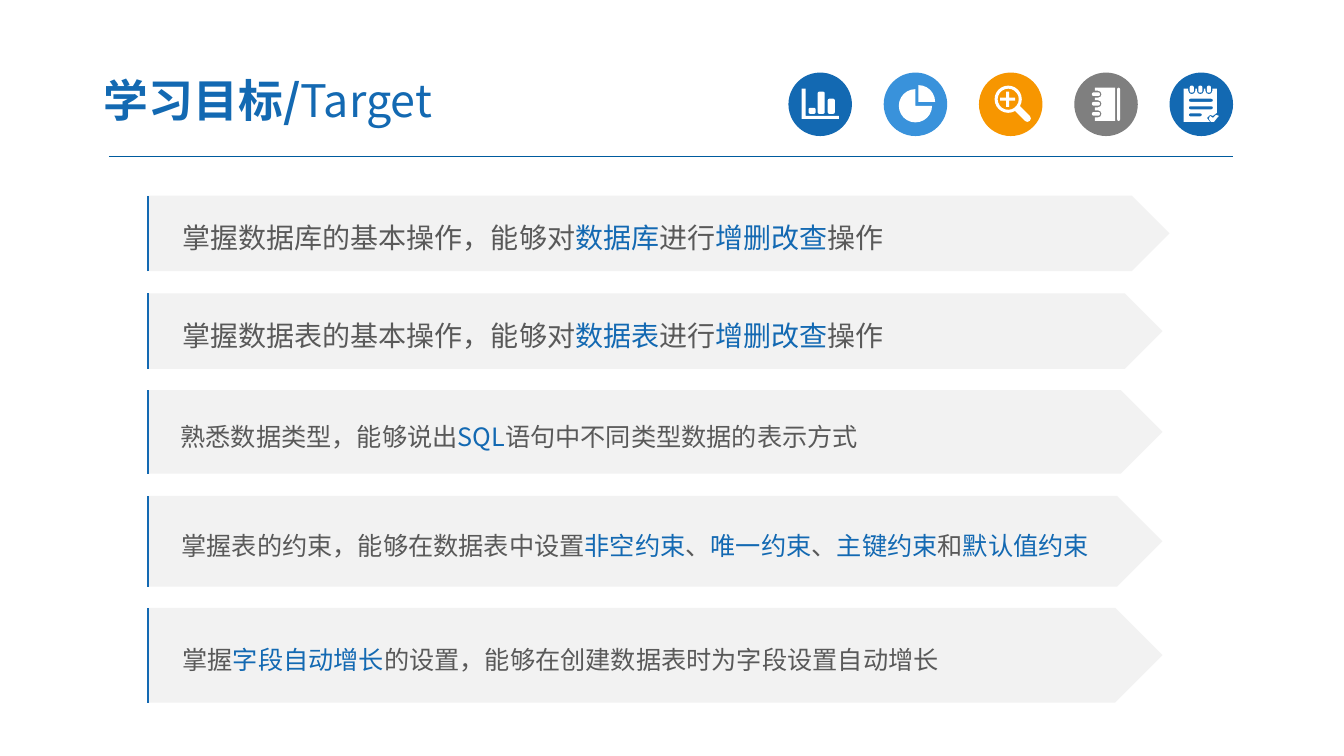
from math import cos, radians, sin

from lxml import etree
from pptx import Presentation
from pptx.dml.color import RGBColor
from pptx.enum.shapes import MSO_CONNECTOR, MSO_SHAPE
from pptx.enum.text import MSO_ANCHOR, PP_ALIGN
from pptx.oxml.ns import qn
from pptx.util import Inches, Pt

BLUE = RGBColor(0x13, 0x69, 0xB2)
SKY = RGBColor(0x39, 0x92, 0xDB)
ORANGE = RGBColor(0xF7, 0x96, 0x00)
GRAY = RGBColor(0x7F, 0x7F, 0x7F)
WHITE = RGBColor(0xFF, 0xFF, 0xFF)
PALE = RGBColor(0xF2, 0xF2, 0xF2)
INK = RGBColor(0x59, 0x59, 0x59)
RULE = RGBColor(0x00, 0x5B, 0x9E)
FONT = "Noto Sans CJK SC"

OVAL = MSO_SHAPE.OVAL
ARROW = MSO_SHAPE.PENTAGON
STRAIGHT = MSO_CONNECTOR.STRAIGHT
MIDDLE = MSO_ANCHOR.MIDDLE
LEFT = PP_ALIGN.LEFT

BADGE_LEFT, BADGE_TOP, BADGE_SIZE, BADGE_STEP = 7.82, 0.72, 0.63, 0.945
BAR_LEFT = 1.46

GOALS = [
    (1.94, 10.14, 0.75, 20, 0.35, "掌握数据库的基本操作，能够对|数据库|进行|增删改查|操作"),
    (2.91, 10.07, 0.75, 20, 0.35, "掌握数据表的基本操作，能够对|数据表|进行|增删改查|操作"),
    (3.87, 10.07, 0.83, 18, 0.33, "熟悉数据类型，能够说出|SQL|语句中不同类型数据的表示方式"),
    (4.92, 10.07, 0.9, 18, 0.34,
     "掌握表的约束，能够在数据表中设置|非空约束|、|唯一约束|、|主键约束|和|默认值约束"),
    (6.03, 10.07, 0.94, 18, 0.35,
     "掌握|字段自动增长|的设置，能够在创建数据表时为字段设置自动增长"),
]


def arc(x, y, radius, start, end, steps=4):
    """Return points on an arc, with angles in degrees clockwise from the right."""
    angles = [radians(start + (end - start) * i / steps) for i in range(steps + 1)]
    return [(x + radius * cos(a), y + radius * sin(a)) for a in angles]


def pill(left, top, right, bottom, radius=0.015):
    """Return the outline of a rounded rectangle."""
    corners = [(right - radius, bottom - radius), (left + radius, bottom - radius),
               (left + radius, top + radius), (right - radius, top + radius)]
    return [point for i, (x, y) in enumerate(corners)
            for point in arc(x, y, radius, 90 * i, 90 * i + 90, 2)]


def bar_chart():
    """Return the outlines of the column chart symbol."""
    axes = [(7.95, 0.88), (7.99, 0.88), (7.99, 1.15), (8.32, 1.15), (8.32, 1.18), (7.95, 1.18)]
    columns = [pill(x, top, x + 0.07, 1.13)
               for x, top in ((8.02, 1.07), (8.11, 0.91), (8.21, 0.98))]
    return [axes] + columns


def pie():
    """Return the outlines of the pie symbol with a raised quarter."""
    return [[(9.08, 1.05)] + arc(9.08, 1.05, 0.165, 0, 270, 18),
            [(9.11, 1.01)] + arc(9.11, 1.01, 0.165, -90, 0, 6)]


def magnifier():
    """Return the outlines of the magnifier symbol."""
    body = arc(10, 0.985, 0.135, 60, 390, 22) + arc(10.19, 1.175, 0.035, -45, 135)
    plus = [(9.92, 0.97), (9.98, 0.97), (9.98, 0.91), (10.01, 0.91), (10.01, 0.97), (10.07, 0.97),
            (10.07, 1), (10.01, 1), (10.01, 1.06), (9.98, 1.06), (9.98, 1), (9.92, 1)]
    return [body, arc(10, 0.985, 0.105, 0, 360, 20), plus]


def notebook():
    """Return the outlines of the ring-bound notebook symbol."""
    ring_rows = (1.13, 1.03, 0.935)
    page = [(11.06, 0.87), (11.06, 1.2), (10.86, 1.2)]
    for y in ring_rows:
        page += [(10.86, y + 0.035)] + arc(10.89, y, 0.035, 90, -90) + [(10.86, y - 0.035)]
    rings = [pill(10.83, y - 0.018, 10.91, y + 0.018) for y in ring_rows]
    return [page + [(10.86, 0.87)], pill(11.08, 0.87, 11.11, 1.2)] + rings


def notepad():
    """Return the outlines of the notepad symbol with a tick."""
    clip_columns = (11.82, 11.905, 11.99)
    page = [(11.74, 0.88)]
    for x in clip_columns:
        page += [(x - 0.035, 0.88)] + arc(x, 0.9, 0.035, 180, 0) + [(x + 0.035, 0.88)]
    page += [(12.07, 0.88), (12.07, 1.12), (12.03, 1.15), (12, 1.14), (11.97, 1.17),
             (12, 1.21), (11.74, 1.21)]
    clips = [pill(x - 0.02, 0.85, x + 0.02, 0.92) for x in clip_columns]
    rows = [pill(11.79, y, right, y + 0.03)
            for y, right in ((0.98, 12.03), (1.055, 12.03), (1.125, 11.92))]
    tick = [(12.08, 1.16), (12.04, 1.21), (12.01, 1.21), (11.99, 1.18), (12, 1.15),
            (12.03, 1.17), (12.06, 1.14), (12.09, 1.15)]
    return [page, tick] + clips + rows


def add_part(slide, kind, box, color):
    """Add a flat filled preset shape."""
    part = slide.shapes.add_shape(kind, *map(Inches, box))
    part.shadow.inherit = False
    part.fill.solid()
    part.fill.fore_color.rgb = color
    part.line.fill.background()
    return part


def add_outlines(slide, outlines, close=True):
    """Add one freeform made of several outlines."""
    contours = [[(Inches(x), Inches(y)) for x, y in outline] for outline in outlines]
    builder = slide.shapes.build_freeform(*contours[0][0])
    for index, contour in enumerate(contours):
        if index:
            builder.move_to(*contour[0])
        builder.add_line_segments(contour[1:], close=close)
    figure = builder.convert_to_shape()
    figure.shadow.inherit = False
    return figure


def add_symbol(slide, outlines):
    """Add a white symbol."""
    symbol = add_outlines(slide, outlines)
    symbol.fill.solid()
    symbol.fill.fore_color.rgb = WHITE
    symbol.line.fill.background()


def add_rule(slide, start, end):
    """Add the thin rule below the title."""
    rule = slide.shapes.add_connector(STRAIGHT, *map(Inches, start + end))
    rule.line.color.rgb = RULE
    rule.line.width = Pt(0.75)
    etree.SubElement(rule._element.spPr, qn("a:effectLst"))


def write_text(holder, runs, size, spacing=1.0, inset=0.1, top_inset=0.05):
    """Write (text, color, bold) runs as one left-aligned paragraph."""
    frame = holder.text_frame
    frame.word_wrap = True
    frame.vertical_anchor = MIDDLE
    frame.margin_left = Inches(inset)
    frame.margin_top = Inches(top_inset)
    paragraph = frame.paragraphs[0]
    paragraph.alignment = LEFT
    paragraph.line_spacing = spacing
    for text, color, bold in runs:
        run = paragraph.add_run()
        run.text = text
        run.font.size = Pt(size)
        run.font.bold = bold
        run.font.color.rgb = color
        run.font.name = FONT
        etree.SubElement(run.font._element, qn("a:ea"), typeface=FONT)


def add_goal(slide, top, width, height, size, inset, text):
    """Add an arrow bar whose every second phrase is highlighted."""
    bar = add_part(slide, ARROW, (BAR_LEFT, top, width, height), PALE)
    runs = [(phrase, BLUE if index % 2 else INK, False)
            for index, phrase in enumerate(text.split("|"))]
    write_text(bar, runs, size, spacing=1.2, inset=inset, top_inset=0.07 if size == 20 else 0.08)
    edge = BAR_LEFT + 0.01
    accent = add_outlines(slide, [[(edge, top + height), (edge, top)]], close=False)
    accent.fill.background()
    accent.line.color.rgb = BLUE
    accent.line.width = Pt(1.5)


def main():
    """Build the slide and save it."""
    deck = Presentation()
    deck.slide_width, deck.slide_height = Inches(13.33), Inches(7.5)
    slide = deck.slides.add_slide(deck.slide_layouts[6])

    add_rule(slide, (1.08, 1.55), (12.23, 1.55))
    badges = [(BLUE, bar_chart), (SKY, pie), (ORANGE, magnifier), (GRAY, notebook),
              (BLUE, notepad)]
    for index, (color, symbol) in enumerate(badges):
        left = BADGE_LEFT + index * BADGE_STEP
        add_part(slide, OVAL, (left, BADGE_TOP, BADGE_SIZE, BADGE_SIZE), color)
        add_symbol(slide, symbol())

    title = slide.shapes.add_textbox(*map(Inches, (0.89, 0.63, 5.22, 0.72)))
    write_text(title, [("学习目标/", BLUE, True), ("Target", BLUE, False)], 32, inset=0.14)
    for goal in GOALS:
        add_goal(slide, *goal)
    deck.save("out.pptx")


if __name__ == "__main__":
    main()
